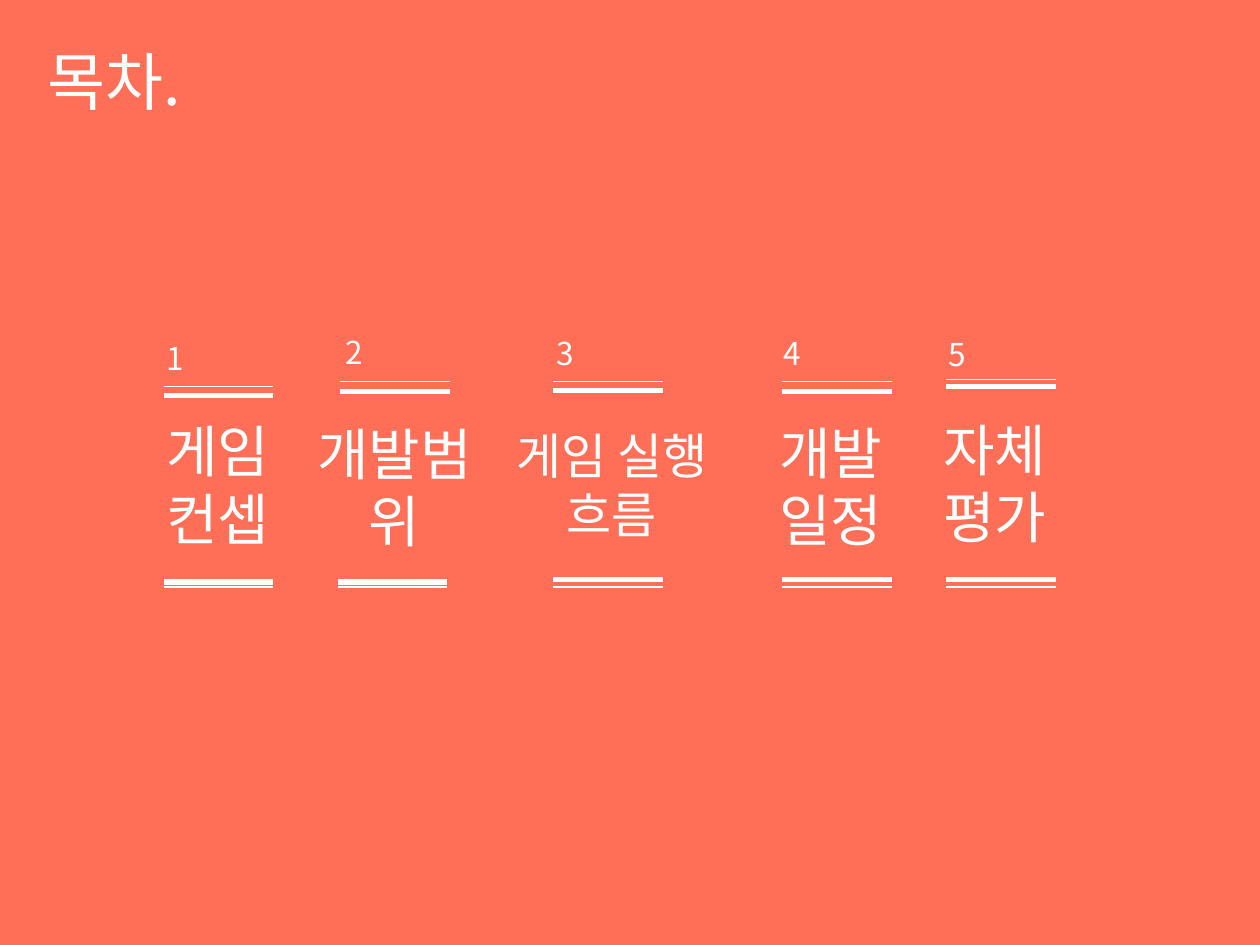
"""Build a table of contents slide with five numbered topics between rules."""
from dataclasses import dataclass

from lxml import etree
from pptx import Presentation
from pptx.dml.color import RGBColor
from pptx.enum.shapes import MSO_CONNECTOR, MSO_SHAPE
from pptx.enum.text import MSO_AUTO_SIZE, PP_ALIGN
from pptx.oxml.ns import qn
from pptx.util import Inches, Pt

LINE = MSO_CONNECTOR.STRAIGHT
RECT = MSO_SHAPE.RECTANGLE
LEFT, CENTER = PP_ALIGN.LEFT, PP_ALIGN.CENTER
GROW = MSO_AUTO_SIZE.SHAPE_TO_FIT_TEXT


@dataclass(frozen=True)
class Theme:
    back: RGBColor = RGBColor(0xFF, 0x6E, 0x57)
    ink: RGBColor = RGBColor(0xFF, 0xFF, 0xFF)
    font: str = "Noto Sans CJK KR"
    title: int = 36
    topic: int = 32
    small: int = 28
    number: int = 18
    thin: float = 0.75
    thick: float = 3


@dataclass(frozen=True)
class Box:
    x: float
    y: float
    w: float
    h: float


@dataclass(frozen=True)
class Topic:
    text: str
    box: Box
    num_x: float
    num_y: float
    top_x: float
    base_x: float
    top_thin: float
    top_thick: float
    base_thick: float
    size: int = Theme.topic


THEME = Theme()
RULE_W = 0.87
BASE_Y = 4.66
TOPICS = [
    Topic("게임컨셉", Box(1.1, 3.26, 1.26, 1.18), 1.22, 2.64, 1.3, 1.3, 3.07, 3.14, 4.62),
    Topic("개발범위", Box(2.37, 3.28, 1.52, 1.18), 2.64, 2.59, 2.7, 2.68, 3.03, 3.11, 4.62),
    Topic("게임 실행 흐름", Box(3.81, 3.33, 2.09, 1.04), 4.32, 2.6, 4.39, 4.39, 3.03, 3.1, 4.6,
          THEME.small),
    Topic("개발 일정", Box(5.81, 3.27, 1.57, 1.18), 6.12, 2.6, 6.21, 6.21, 3.03, 3.11, 4.6),
    Topic("자체평가", Box(7.2, 3.25, 1.39, 1.18), 7.43, 2.61, 7.51, 7.51, 3.01, 3.07, 4.6),
]


def add_text(shapes, text: str, box: Box, size: int, align=LEFT) -> None:
    """Add a wrapped text box in the theme font."""
    frame = shapes.add_textbox(
        Inches(box.x), Inches(box.y), Inches(box.w), Inches(box.h)).text_frame
    frame.word_wrap = True
    frame.auto_size = GROW
    para = frame.paragraphs[0]
    para.text = text
    para.alignment = align
    para.font.size = Pt(size)
    para.font.name = THEME.font
    para.font.color.rgb = THEME.ink
    props = para._p.find(qn("a:pPr")).find(qn("a:defRPr"))
    etree.SubElement(props, qn("a:ea")).set("typeface", THEME.font)


def add_rule(shapes, x: float, y: float, width: float) -> None:
    """Add a level rule of the given line width."""
    rule = shapes.add_connector(
        LINE, Inches(x), Inches(y), Inches(x + RULE_W), Inches(y))
    rule.line.color.rgb = THEME.ink
    rule.line.width = Pt(width)
    etree.SubElement(rule._element.spPr, qn("a:effectLst"))


def add_topic(shapes, number: int, topic: Topic) -> None:
    """Add a topic with its number and rules."""
    add_text(shapes, topic.text, topic.box, topic.size, CENTER)
    add_text(shapes, str(number), Box(topic.num_x, topic.num_y, 1.26, 0.4), THEME.number)
    add_rule(shapes, topic.top_x, topic.top_thin, THEME.thin)
    add_rule(shapes, topic.top_x, topic.top_thick, THEME.thick)
    add_rule(shapes, topic.base_x, topic.base_thick, THEME.thick)
    add_rule(shapes, topic.base_x, BASE_Y, THEME.thin)


def main() -> None:
    """Build and save the slide."""
    deck = Presentation()
    deck.slide_width, deck.slide_height = Inches(10), Inches(7.5)
    shapes = deck.slides.add_slide(deck.slide_layouts[6]).shapes
    back = shapes.add_shape(RECT, 0, 0, deck.slide_width, deck.slide_height)
    back.shadow.inherit = False
    back.fill.solid()
    back.fill.fore_color.rgb = THEME.back
    back.line.fill.background()
    add_text(shapes, "목차.", Box(0.28, 0.29, 3.39, 0.71), THEME.title)
    for number, topic in enumerate(TOPICS, 1):
        add_topic(shapes, number, topic)
    deck.save("out.pptx")


main()
